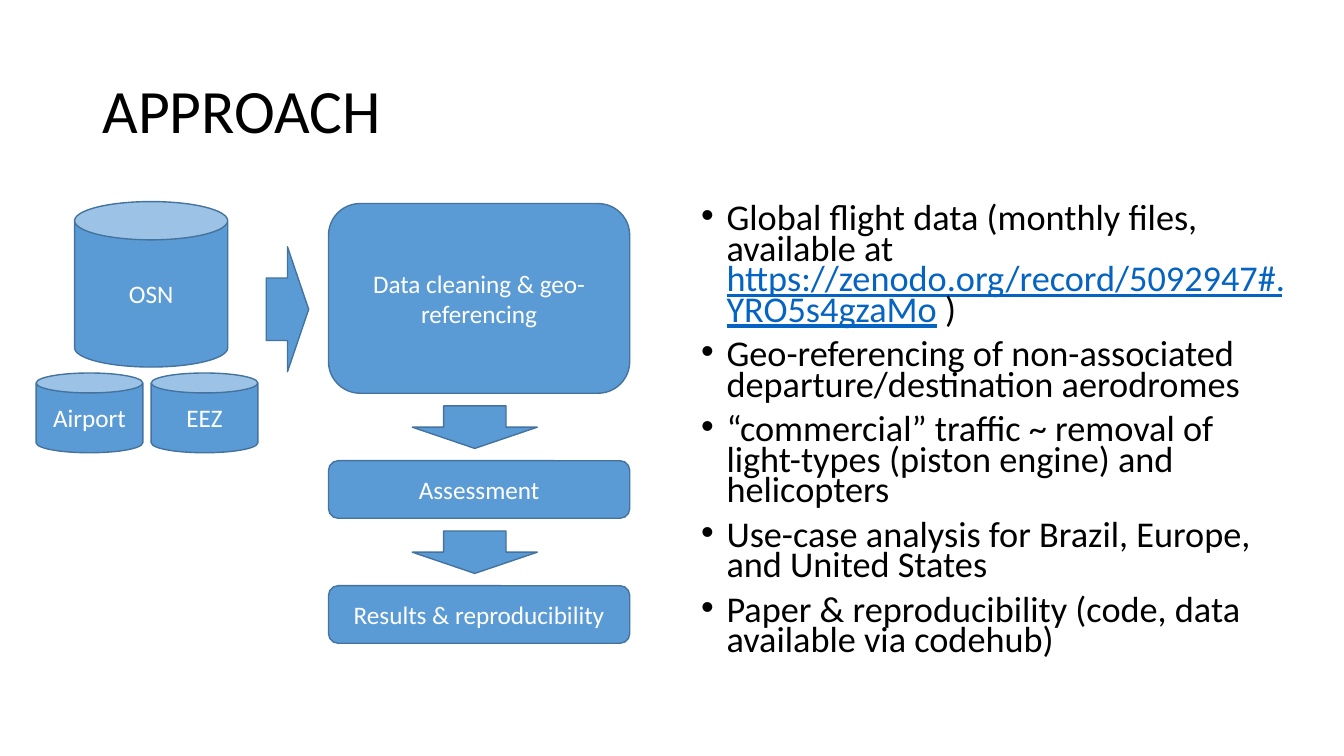
from dataclasses import dataclass

from lxml.etree import SubElement
from pptx import Presentation
from pptx.dml.color import RGBColor
from pptx.enum.shapes import MSO_SHAPE as Preset
from pptx.enum.text import MSO_ANCHOR as Anchor, PP_ALIGN as Align
from pptx.oxml.ns import qn
from pptx.util import Cm, Pt

BLUE = RGBColor(0x5B, 0x9B, 0xD5)
OUTLINE = RGBColor(0x43, 0x73, 0x9E)
LINK = RGBColor(0x05, 0x63, 0xC1)
BLACK = RGBColor(0, 0, 0)
WHITE = RGBColor(0xFF, 0xFF, 0xFF)

STEP_LEFT, STEP_WIDTH, STEP_HEIGHT, STEP_PITCH = 8.28, 7.59, 1.45, 3.15
ASSESSMENT_TOP = 11.61
SOURCE_TOP, SOURCE_WIDTH, SOURCE_HEIGHT = 9.4, 2.69, 2.01
ARROW_WIDTH, ARROW_HEIGHT = 1.07, 3.15
DOWN_LEFT, DOWN_TOP = 11.43, 9.19


@dataclass(frozen=True)
class Node:
    preset: Preset
    left: float
    top: float
    width: float
    height: float
    label: str = ""
    rotation: float = 0


@dataclass(frozen=True)
class Run:
    text: str
    color: RGBColor = BLACK
    underline: bool = False


FLOW = [
    Node(Preset.CAN, 1.88, 5.08, 3.86, 4.17, "OSN"),
    Node(Preset.ROUNDED_RECTANGLE, STEP_LEFT, 5.13, STEP_WIDTH, 4.78,
         "Data cleaning & geo-referencing"),
    *[Node(Preset.ROUNDED_RECTANGLE, STEP_LEFT, ASSESSMENT_TOP + i * STEP_PITCH,
           STEP_WIDTH, STEP_HEIGHT, step)
      for i, step in enumerate(["Assessment", "Results & reproducibility"])],
    *[Node(Preset.CAN, left, SOURCE_TOP, SOURCE_WIDTH, SOURCE_HEIGHT, source)
      for left, source in [(3.81, "EEZ"), (0.91, "Airport")]],
    Node(Preset.RIGHT_ARROW, 6.71, 6.22, ARROW_WIDTH, ARROW_HEIGHT),
    *[Node(Preset.RIGHT_ARROW, DOWN_LEFT, DOWN_TOP + i * STEP_PITCH,
           ARROW_WIDTH, ARROW_HEIGHT, rotation=90) for i in range(2)],
]

POINTS = [
    [Run("Global flight data (monthly files, available at "),
     Run("https://zenodo.org/record/5092947#.YRO5s4gzaMo", LINK, True),
     Run(" )")],
    [Run("Geo-referencing of non-associated departure/destination aerodromes")],
    [Run("“commercial” traffic ~ removal of light-types (piston engine) and helicopters")],
    [Run("Use-case analysis for Brazil, Europe, and United States")],
    [Run("Paper & reproducibility (code, data available via codehub)")],
]


def apply(target, formats: dict) -> None:
    for attribute, value in formats.items():
        setattr(target, attribute, value)


def set_font(font, size: float, color: RGBColor, underline: bool = False) -> None:
    apply(font, {"name": "Calibri", "size": Pt(size), "underline": underline})
    font.color.rgb = color


def place(left: float, top: float, width: float, height: float) -> dict:
    return {"left": Cm(left), "top": Cm(top), "width": Cm(width), "height": Cm(height)}


def draw_title(slide) -> None:
    heading = slide.shapes.title
    apply(heading, place(2.33, 1.02, 29.21, 3.68))
    heading.text_frame.text = "APPROACH"
    heading.text_frame.vertical_anchor = Anchor.MIDDLE
    line = heading.text_frame.paragraphs[0]
    apply(line, {"alignment": Align.LEFT, "line_spacing": 0.9})
    set_font(line.runs[0].font, 44, BLACK)


def draw_points(slide) -> None:
    approach = slide.shapes.add_textbox(Cm(17.42), Cm(5.08), Cm(15.47), Cm(12.09)).text_frame
    approach.word_wrap = True
    for i, runs in enumerate(POINTS):
        point = approach.add_paragraph() if i else approach.paragraphs[0]
        apply(point, {"line_spacing": 0.7, "space_before": Pt(10 if i else 0)})
        properties = point._p.get_or_add_pPr()
        properties.set("marL", str(Cm(0.64)))
        properties.set("indent", str(-Cm(0.64)))
        SubElement(properties, qn("a:buFont"), typeface="Arial")
        SubElement(properties, qn("a:buChar"), char="•")
        for part in runs:
            run = point.add_run()
            run.text = part.text
            set_font(run.font, 25.9, part.color, part.underline)


def draw_node(slide, node: Node) -> None:
    shape = slide.shapes.add_shape(node.preset, Cm(node.left), Cm(node.top),
                                   Cm(node.width), Cm(node.height))
    shape.rotation = node.rotation
    shape.shadow.inherit = False
    shape.fill.solid()
    shape.fill.fore_color.rgb = BLUE
    shape.line.color.rgb = OUTLINE
    shape.line.width = Pt(1)
    if node.label:
        apply(shape.text_frame, {"text": node.label, "word_wrap": True,
                                 "vertical_anchor": Anchor.MIDDLE})
        label = shape.text_frame.paragraphs[0]
        label.alignment = Align.CENTER
        set_font(label.runs[0].font, 18, WHITE)


def main() -> None:
    deck = Presentation()
    apply(deck, {"slide_width": Cm(33.87), "slide_height": Cm(19.05)})
    slide = deck.slides.add_slide(deck.slide_layouts[5])
    draw_title(slide)
    draw_points(slide)
    for node in FLOW:
        draw_node(slide, node)
    deck.save("out.pptx")


if __name__ == "__main__":
    main()
